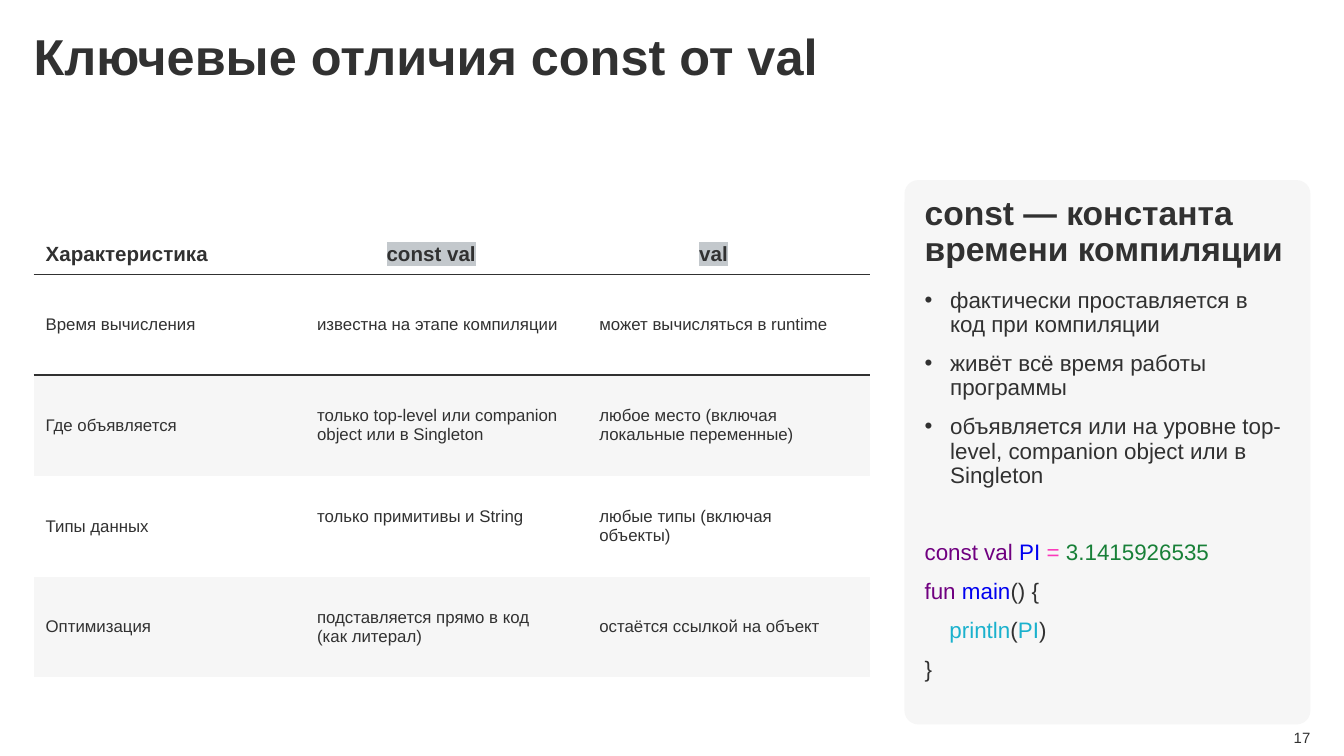
from lxml import etree
from pptx import Presentation
from pptx.dml.color import RGBColor
from pptx.enum import shapes, text
from pptx.oxml import ns
from pptx.util import Inches, Pt

INK = RGBColor(0x31, 0x31, 0x31)
PALE = RGBColor(0xF6, 0xF6, 0xF6)
WHITE = RGBColor(0xFF, 0xFF, 0xFF)
GREY = RGBColor(0xC3, 0xC8, 0xCC)
PLUM = RGBColor(0x70, 0x00, 0x80)
BLUE = RGBColor(0x00, 0x00, 0xF0)
PINK = RGBColor(0xFB, 0x38, 0xBA)
GREEN = RGBColor(0x18, 0x80, 0x38)
CYAN = RGBColor(0x1A, 0xB1, 0xCD)
ALIGN = text.PP_ALIGN
ANCHOR = text.MSO_ANCHOR
NO_STYLE = "{2D5ABB26-0587-4C30-8999-92F81FD0307C}"

ROWS = [
    ("Характеристика", "const val", "val"),
    ("Время вычисления", "известна на этапе компиляции",
     "может вычисляться в runtime"),
    ("Где объявляется", "только top-level или companion object или в Singleton",
     "любое место (включая локальные переменные)"),
    ("Типы данных", "только примитивы и String", "любые типы (включая объекты)"),
    ("Оптимизация", "подставляется прямо в код (как литерал)",
     "остаётся ссылкой на объект"),
]
POINTS = [
    "фактически проставляется в код при компиляции",
    "живёт всё время работы программы",
    "объявляется или на уровне top-level, companion object или в Singleton",
]
CODE = [
    [("const val ", PLUM), ("PI ", BLUE), ("= ", PINK), ("3.1415926535", GREEN)],
    [("fun ", PLUM), ("main", BLUE), ("() {", INK)],
    [("    ", INK), ("println", CYAN), ("(", INK), ("PI", CYAN), (")", INK)],
    [("}", INK)],
]


def style(para, size, bold=False, color=INK):
    font = para.font
    font.name, font.size, font.bold = "Arial", Pt(size), bold
    font.color.rgb = color


def add_color(parent, tag, color):
    node = etree.SubElement(parent, ns.qn(tag))
    etree.SubElement(node, ns.qn("a:srgbClr"), val=str(color))


def add_box(slide, left, top, width, height, anchor=ANCHOR.TOP):
    box = slide.shapes.add_textbox(*map(Inches, (left, top, width, height)))
    frame = box.text_frame
    frame.margin_left = frame.margin_right = 0
    frame.margin_top = frame.margin_bottom = 0
    frame.word_wrap = True
    frame.vertical_anchor = anchor
    return frame


def add_line(slide, words, place, size, bold=False, align=ALIGN.LEFT,
             anchor=ANCHOR.TOP, space=0.9):
    para = add_box(slide, *place, anchor).paragraphs[0]
    para.text = words
    para.alignment = align
    para.line_spacing = space
    style(para, size, bold)


def add_panel(slide):
    panel = slide.shapes.add_shape(
        shapes.MSO_SHAPE.ROUNDED_RECTANGLE,
        Inches(6.73), Inches(1.34), Inches(3.02), Inches(4.05))
    panel.adjustments[0] = 0.034
    panel.fill.solid()
    panel.fill.fore_color.rgb = PALE
    panel.line.fill.background()
    panel.shadow.inherit = False


def add_bullet(para):
    props = para._p.get_or_add_pPr()
    props.set("marL", str(Inches(0.19)))
    props.set("indent", str(-Inches(0.19)))
    etree.SubElement(props, ns.qn("a:buFont"), typeface="Arial")
    etree.SubElement(props, ns.qn("a:buChar"), char="•")


def add_notes(slide):
    """Bullet points, then the coloured code sample."""
    frame = add_box(slide, 6.88, 2.15, 2.7, 3.12)
    lines = [[(point, INK)] for point in POINTS] + CODE
    for i, line in enumerate(lines):
        para = frame.add_paragraph() if i else frame.paragraphs[0]
        para.line_spacing = 0.9
        if i:
            para.space_before = Pt(28.5 if i == len(POINTS) else 8)
        if i < len(POINTS):
            add_bullet(para)
        style(para, 12)
        for words, color in line:
            run = para.add_run()
            run.text = words
            run.font.color.rgb = color


def rule(cell, side):
    edge = etree.Element(ns.qn("a:" + side), w=str(Pt(0.75)))
    add_color(edge, "a:solidFill", INK)
    cell._tc.get_or_add_tcPr().insert(0, edge)


def set_cell(cell, words, row, col):
    head = row == 0
    cell.text = words
    para = cell.text_frame.paragraphs[0]
    style(para, 11 if head else 9, head)
    cell.vertical_anchor = ANCHOR.MIDDLE
    if col == 0:
        sides = (0.09, 0.04 if head else 0.06)
    else:
        sides = (0 if head else 0.09, 0.18)
    cell.margin_left, cell.margin_right = map(Inches, sides)
    cell.margin_top = cell.margin_bottom = Inches(0 if head else 0.02)
    cell.fill.solid()
    cell.fill.fore_color.rgb = PALE if row and row % 2 == 0 else WHITE
    if head and col:
        para.alignment = ALIGN.CENTER
        add_color(para.runs[0]._r.get_or_add_rPr(), "a:highlight", GREY)
        para.add_run().text = " "
    if row < 2:
        rule(cell, "lnT" if row else "lnB")


def add_grid(slide):
    frame = slide.shapes.add_table(
        len(ROWS), 3, Inches(0.25), Inches(1.74), Inches(6.22), Inches(3.3))
    table = frame.table
    table.first_row = table.horz_banding = False
    table._tbl.tblPr.find(ns.qn("a:tableStyleId")).text = NO_STYLE
    for col, width in zip(table.columns, (2.02, 2.1, 2.1)):
        col.width = Inches(width)
    for i, words in enumerate(ROWS):
        table.rows[i].height = Inches(0.75 if i else 0.3)
        for j, word in enumerate(words):
            set_cell(table.cell(i, j), word, i, j)
    # The short type answer sits level with the first line of its neighbour
    table.cell(3, 1).margin_bottom = Inches(0.16)


def main():
    deck = Presentation()
    deck.slide_width = Inches(10)
    deck.slide_height = deck.slide_width * 9 // 16
    slide = deck.slides.add_slide(deck.slide_layouts[6])
    add_panel(slide)
    add_line(slide, "Ключевые отличия const от val", (0.25, 0.24, 9.14, 0.41),
             27, bold=True)
    add_line(slide, "17", (9.21, 5.42, 0.54, 0.13), 8, align=ALIGN.RIGHT, space=1.0)
    add_notes(slide)
    add_line(slide, "const — константа времени компиляции",
             (6.88, 1.45, 2.72, 0.55), 18, bold=True, anchor=ANCHOR.BOTTOM)
    add_grid(slide)
    deck.save("out.pptx")


if __name__ == "__main__":
    main()
